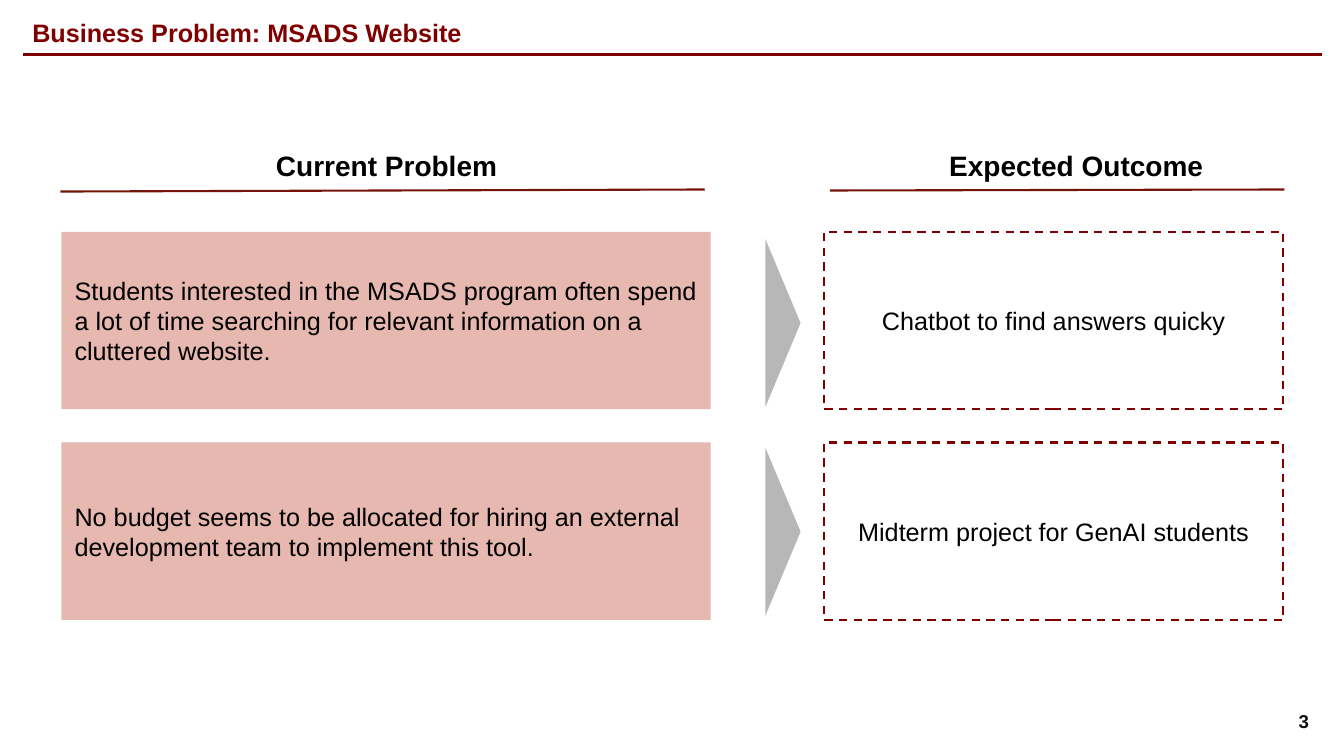
from dataclasses import dataclass

from lxml import etree
from pptx import Presentation
from pptx.dml.color import RGBColor
from pptx.enum import dml, shapes, text
from pptx.oxml import ns
from pptx.util import Inches, Pt


@dataclass(frozen=True)
class Theme:
    font: str = "Arial"
    maroon: str = "800000"
    rust: str = "75140B"
    pink: str = "E6B8AF"
    gray: str = "B7B7B7"
    black: str = "000000"
    ink: str = "110E0E"
    body: float = 18
    head: float = 20
    page: float = 13.3


@dataclass(frozen=True)
class Box:
    left: float
    top: float
    width: float
    height: float


@dataclass(frozen=True)
class Column:
    title: str
    box: Box
    start: tuple[float, float]
    end: tuple[float, float]


@dataclass(frozen=True)
class Row:
    top: float
    arrow: float
    problem: str
    outcome: str


THEME = Theme()
LEFT, MID, RIGHT = text.PP_ALIGN.LEFT, text.PP_ALIGN.CENTER, text.PP_ALIGN.RIGHT
TOP, CENTER = text.MSO_ANCHOR.TOP, text.MSO_ANCHOR.MIDDLE
HIGH = 1.76

COLUMNS = [
    Column("Current Problem", Box(1.85, 1.34, 3.97, 0.4), (6.99, 1.88), (0.6, 1.9)),
    Column("Expected Outcome", Box(8.69, 1.34, 3.97, 0.4), (12.74, 1.88), (8.23, 1.89)),
]
ROWS = [
    Row(2.3, 3.03,
        "Students interested in the MSADS program often spend a lot of time "
        "searching for relevant information on a cluttered website.",
        "Chatbot to find answers quicky"),
    Row(4.39, 5.1,
        "No budget seems to be allocated for hiring an external development "
        "team to implement this tool.",
        "Midterm project for GenAI students"),
]


def place(box: Box) -> tuple:
    return tuple(Inches(n) for n in (box.left, box.top, box.width, box.height))


def write(shape, words: str, size: float, color: str = THEME.black,
          bold: bool = False, align=LEFT, anchor=CENTER, inset: float = 0.13) -> None:
    frame = shape.text_frame
    frame.text = words
    frame.word_wrap = True
    frame.auto_size = text.MSO_AUTO_SIZE.NONE
    frame.vertical_anchor = anchor
    frame.margin_left = frame.margin_right = Inches(inset)
    frame.margin_top = frame.margin_bottom = Inches(min(inset, 0.13) if inset > 0.1 else 0.05)
    line = frame.paragraphs[0]
    line.alignment = align
    font = line.runs[0].font
    font.name, font.size, font.bold = THEME.font, Pt(size), bold
    font.color.rgb = RGBColor.from_string(color)


def rule(slide, start: tuple[float, float], end: tuple[float, float],
         color: str, width: float) -> None:
    line = slide.shapes.add_connector(
        shapes.MSO_CONNECTOR.STRAIGHT, *(Inches(n) for n in start + end))
    line.line.color.rgb = RGBColor.from_string(color)
    line.line.width = Pt(width)
    etree.SubElement(line._element.spPr, ns.qn("a:effectLst"))


def panel(slide, kind, box: Box, fill: str | None = None):
    """Add a filled shape, or a dashed frame when no fill is given."""
    shape = slide.shapes.add_shape(kind, *place(box))
    shape.shadow.inherit = False
    if fill:
        shape.fill.solid()
        shape.fill.fore_color.rgb = RGBColor.from_string(fill)
        shape.line.fill.background()
    else:
        shape.fill.background()
        shape.line.color.rgb = RGBColor.from_string(THEME.maroon)
        shape.line.width = Pt(1.5)
        shape.line.dash_style = dml.MSO_LINE.DASH
    return shape


def head(slide, col: Column) -> None:
    label = slide.shapes.add_textbox(*place(col.box))
    write(label, col.title, THEME.head, bold=True, align=MID, anchor=TOP)
    rule(slide, col.start, col.end, THEME.rust, 1.5)


def band(slide, row: Row) -> None:
    """Draw a problem, its arrow and its outcome."""
    kind = shapes.MSO_SHAPE
    cause = panel(slide, kind.RECTANGLE, Box(0.61, row.top, 6.44, HIGH), THEME.pink)
    write(cause, row.problem, THEME.body)
    arrow = panel(slide, kind.ISOSCELES_TRIANGLE, Box(6.93, row.arrow, 1.67, 0.35), THEME.gray)
    arrow.rotation = 90
    goal = panel(slide, kind.RECTANGLE, Box(8.17, row.top, 4.56, HIGH))
    write(goal, row.outcome, THEME.body, align=MID)


def main() -> None:
    deck = Presentation()
    deck.slide_width, deck.slide_height = Inches(13.33), Inches(7.5)
    slide = deck.slides.add_slide(deck.slide_layouts[5])

    title = slide.shapes.title
    title.left, title.top, title.width, title.height = place(Box(0.22, -0.08, 12.88, 0.8))
    write(title, "Business Problem: MSADS Website", THEME.body, THEME.maroon,
          bold=True, inset=0.1)
    rule(slide, (0.23, 0.54), (13.11, 0.54), THEME.maroon, 2)

    for col in COLUMNS:
        head(slide, col)
    for row in ROWS:
        band(slide, row)

    page = slide.shapes.add_textbox(*place(Box(12.33, 6.95, 0.75, 0.4)))
    write(page, "3", THEME.page, THEME.ink, bold=True, align=RIGHT, inset=0.1)
    deck.save("out.pptx")


if __name__ == "__main__":
    main()
